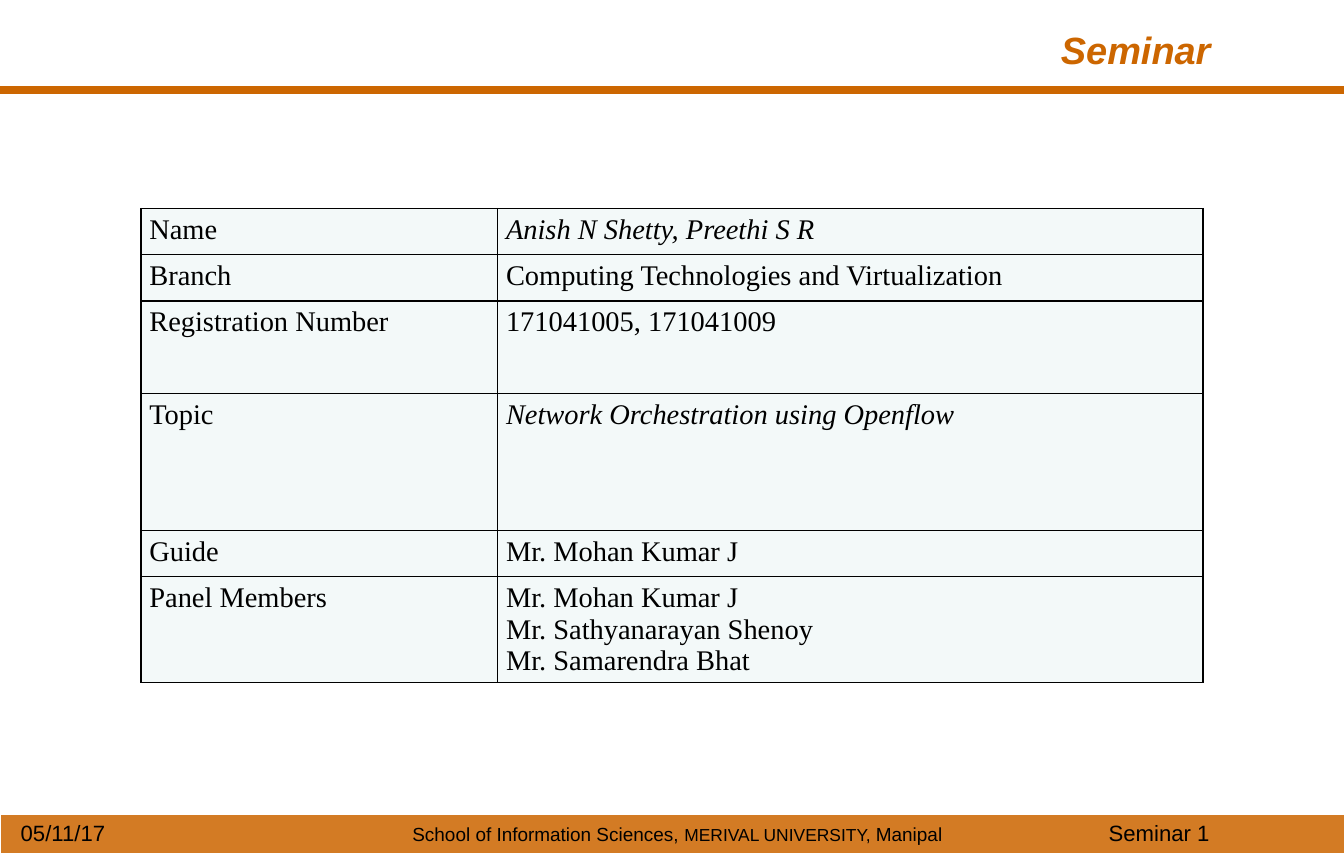
"""Build the seminar details slide: heading, participant table and footer band."""
from dataclasses import dataclass

from lxml import etree
from pptx import Presentation
from pptx.dml.color import RGBColor
from pptx.enum.shapes import MSO_CONNECTOR, MSO_SHAPE
from pptx.enum.text import MSO_ANCHOR, MSO_AUTO_SIZE, PP_ALIGN
from pptx.oxml.ns import qn
from pptx.util import Emu, Pt

LEFT, CENTER, RIGHT, JUSTIFY = PP_ALIGN.LEFT, PP_ALIGN.CENTER, PP_ALIGN.RIGHT, PP_ALIGN.JUSTIFY
TOP = MSO_ANCHOR.TOP
NO_AUTOFIT = MSO_AUTO_SIZE.NONE
STRAIGHT = MSO_CONNECTOR.STRAIGHT
RECTANGLE = MSO_SHAPE.RECTANGLE

EMU_PER_PX = 9525
SLIDE_WIDTH, SLIDE_HEIGHT = 1134, 720
ORANGE, BLACK, PALE = "CC6600", "000000", "F3F9F9"
BAND_OPACITY = 86
BORDER_EMU = 12192
COLUMN_WIDTHS = (301, 595)


@dataclass(frozen=True)
class FooterText:
    """A footer text with its box and its (wording, size) pieces."""

    box: tuple[int, int, int, int]
    pieces: tuple[tuple[str, int], ...]
    align: PP_ALIGN = LEFT


@dataclass(frozen=True)
class Detail:
    """A table row with its label and value lines."""

    label: str
    lines: tuple[str, ...]
    height: int = 39
    italic: bool = False
    align: PP_ALIGN = LEFT


FOOTER_TEXTS = (
    FooterText((274, 690, 595, 29), (("School of Information Sciences, ", 12),
                                     ("MERIVAL UNIVERSITY, ", 11), ("Manipal", 12)), CENTER),
    FooterText((8, 687, 128, 32), (("05/11/17", 14),)),
    FooterText((926, 687, 206, 32), (("Seminar 1", 14),)),
)
DETAILS = (
    Detail("Name", ("Anish N Shetty, Preethi S R",), italic=True),
    Detail("Branch", ("Computing Technologies and Virtualization",)),
    Detail("Registration Number", ("171041005, 171041009",), height=78),
    Detail("Topic", ("Network Orchestration using Openflow",), height=116, italic=True,
           align=JUSTIFY),
    Detail("Guide", ("Mr. Mohan Kumar J",)),
    Detail("Panel Members", ("Mr. Mohan Kumar J", "Mr. Sathyanarayan Shenoy",
                             "Mr. Samarendra Bhat"), height=89),
)


def px(length: int) -> Emu:
    """Turn px into EMU."""
    return Emu(length * EMU_PER_PX)


def rgb(hex_color: str) -> RGBColor:
    """Turn a hex string into a colour."""
    return RGBColor.from_string(hex_color)


def write(paragraph, text: str, *, size: int, font: str = "Arial", color: str = BLACK,
          bold: bool = False, italic: bool = False, align: PP_ALIGN = LEFT) -> None:
    """Add a formatted run to a paragraph."""
    paragraph.alignment = align
    run = paragraph.add_run()
    run.text = text
    run.font.name = font
    run.font.size = Pt(size)
    run.font.bold = bold
    run.font.italic = italic
    run.font.color.rgb = rgb(color)


def set_frame(frame) -> None:
    """Give a text frame the wrapping and anchor shared on the slide."""
    frame.word_wrap = True
    frame.auto_size = NO_AUTOFIT
    frame.vertical_anchor = TOP


def add_heading(slide) -> None:
    """Fill the title placeholder and draw the rule under it."""
    heading = slide.shapes.title
    heading.left, heading.top, heading.width, heading.height = map(px, (263, 18, 768, 48))
    set_frame(heading.text_frame)
    write(heading.text_frame.paragraphs[0], "Seminar", size=24, color=ORANGE,
          bold=True, italic=True, align=RIGHT)
    rule = slide.shapes.add_connector(STRAIGHT, *map(px, (0, 76, 1137, 76)))
    rule.line.color.rgb = rgb(ORANGE)
    rule.line.width = Pt(4.5)
    etree.SubElement(rule._element.spPr, qn("a:effectLst"))


def add_footer(slide) -> None:
    """Draw the translucent band and its texts."""
    band = slide.shapes.add_shape(RECTANGLE, *map(px, (1, 688, SLIDE_WIDTH, 32)))
    band.shadow.inherit = False
    band.line.fill.background()
    band.fill.solid()
    band.fill.fore_color.rgb = rgb(ORANGE)
    band_color = band._element.spPr.find(qn("a:solidFill")).find(qn("a:srgbClr"))
    etree.SubElement(band_color, qn("a:alpha"), val=str(BAND_OPACITY * 1000))
    for footer in FOOTER_TEXTS:
        frame = slide.shapes.add_textbox(*map(px, footer.box)).text_frame
        set_frame(frame)
        for text, size in footer.pieces:
            write(frame.paragraphs[0], text, size=size, align=footer.align)


def add_borders(cell) -> None:
    """Draw thin black lines on all four sides of a cell."""
    properties = cell._tc.get_or_add_tcPr()
    for side in ("a:lnL", "a:lnR", "a:lnT", "a:lnB"):
        border = etree.SubElement(properties, qn(side), w=str(BORDER_EMU))
        border_fill = etree.SubElement(border, qn("a:solidFill"))
        etree.SubElement(border_fill, qn("a:srgbClr"), val=BLACK)


def fill_cell(cell, lines: tuple[str, ...], *, italic: bool = False,
              align: PP_ALIGN = LEFT) -> None:
    """Format a cell and write one paragraph per line."""
    add_borders(cell)
    cell.fill.solid()
    cell.fill.fore_color.rgb = rgb(PALE)
    cell.margin_left = cell.margin_right = px(7)
    frame = cell.text_frame
    for index, line in enumerate(lines):
        paragraph = frame.add_paragraph() if index else frame.paragraphs[0]
        write(paragraph, line, size=18, font="Times New Roman", italic=italic, align=align)


def add_details(slide) -> None:
    """Add the table of seminar details."""
    box = (119, 176, sum(COLUMN_WIDTHS), sum(detail.height for detail in DETAILS))
    table = slide.shapes.add_table(len(DETAILS), len(COLUMN_WIDTHS), *map(px, box)).table
    table.first_row = table.horz_banding = False
    for column, width in zip(table.columns, COLUMN_WIDTHS):
        column.width = px(width)
    for row, detail in zip(table.rows, DETAILS):
        row.height = px(detail.height)
        label_cell, value_cell = row.cells
        fill_cell(label_cell, (detail.label,))
        fill_cell(value_cell, detail.lines, italic=detail.italic, align=detail.align)


def main() -> None:
    """Build and save the slide."""
    deck = Presentation()
    deck.slide_width, deck.slide_height = px(SLIDE_WIDTH), px(SLIDE_HEIGHT)
    slide = deck.slides.add_slide(deck.slide_layouts.get_by_name("Title Only"))
    add_heading(slide)
    add_footer(slide)
    add_details(slide)
    deck.save("out.pptx")


if __name__ == "__main__":
    main()
